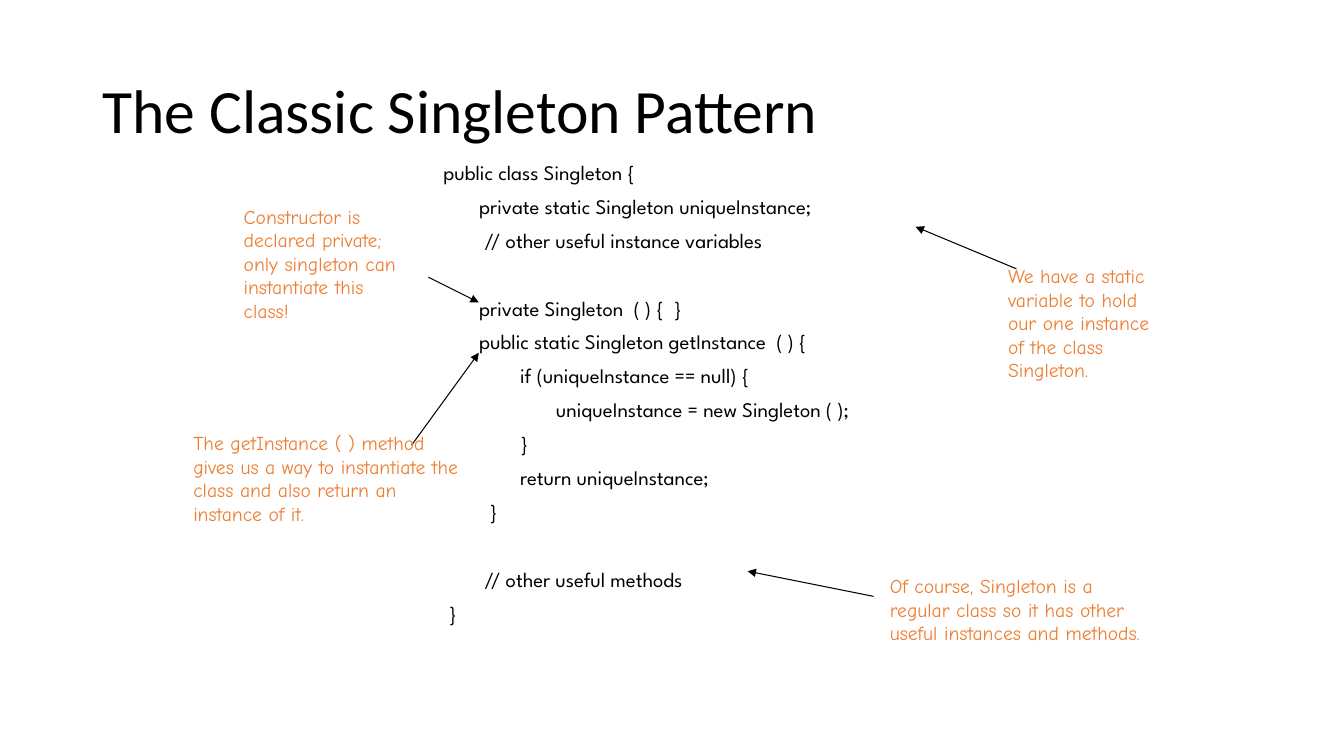
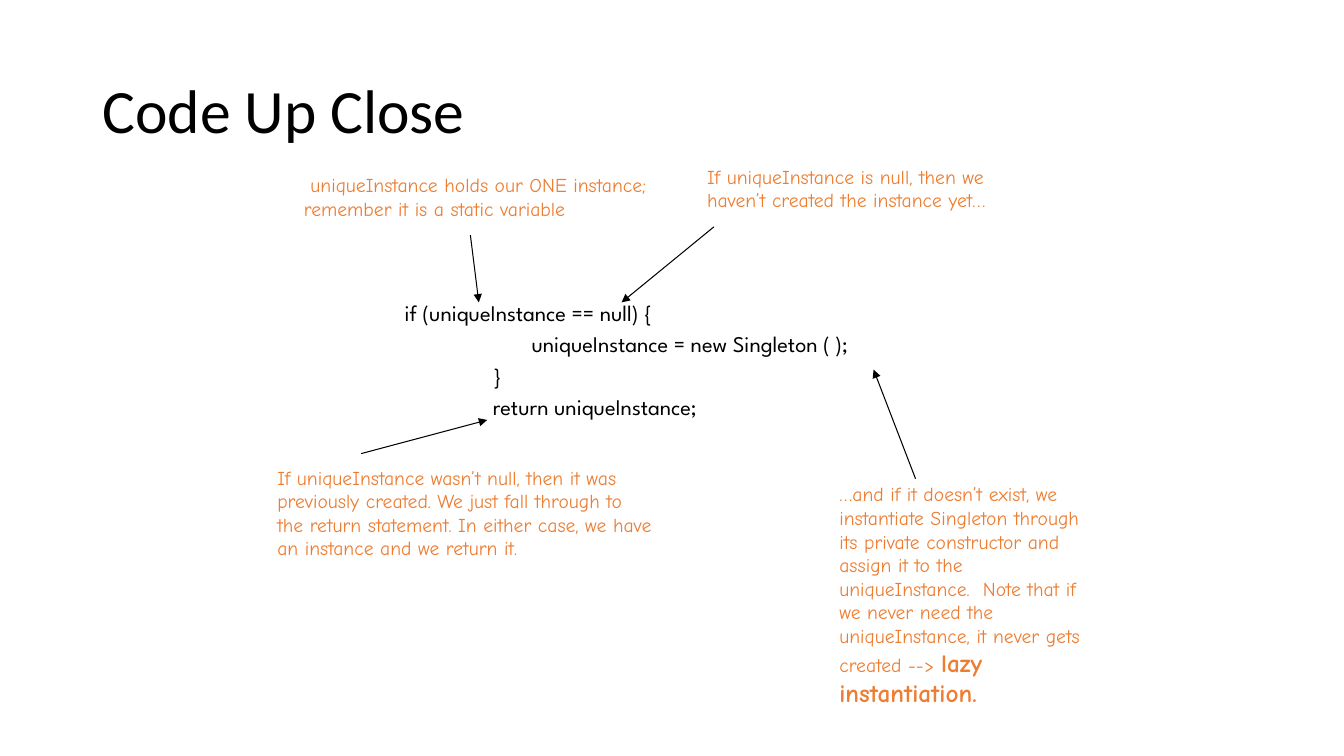
from dataclasses import dataclass

from lxml import etree
from pptx import Presentation
from pptx.dml.color import RGBColor
from pptx.enum.shapes import MSO_CONNECTOR
from pptx.enum.text import MSO_ANCHOR, MSO_AUTO_SIZE, PP_ALIGN
from pptx.oxml.ns import qn
from pptx.slide import Slide
from pptx.text.text import TextFrame
from pptx.util import Pt

STRAIGHT = MSO_CONNECTOR.STRAIGHT
LEFT = PP_ALIGN.LEFT
TOP = MSO_ANCHOR.TOP
MIDDLE = MSO_ANCHOR.MIDDLE
NO_FIT = MSO_AUTO_SIZE.NONE
TITLE_ONLY = 5
COLORS = {"ink": "000000", "note": "ED7D31"}
FONTS = {"title": "Calibri", "code": "League Spartan", "note": "Comic Neue"}
LINE_RATIO = 1.2


@dataclass(frozen=True)
class Box:
    left: float
    top: float
    width: float
    height: float


@dataclass(frozen=True)
class Code:
    box: Box
    text: str
    size: float
    lead: float
    before: float


@dataclass(frozen=True)
class Note:
    box: Box
    text: str
    start: tuple[float, float]
    end: tuple[float, float]
    strong: str = ""


@dataclass(frozen=True)
class Page:
    title: str
    code: Code
    notes: tuple[Note, ...]


TITLE_BOX = Box(66, 29, 828, 104)

CLASS_CODE = """\
 public class Singleton {
        private static Singleton uniqueInstance;
         // other useful instance variables

        private Singleton  ( ) {  }
        public static Singleton getInstance  ( ) {
                if (uniqueInstance == null) {
                       uniqueInstance = new Singleton ( );
                }
                return uniqueInstance;
          }

         // other useful methods
  }"""

CHECK_CODE = """\
if (uniqueInstance == null) {
                       uniqueInstance = new Singleton ( );
                }
                return uniqueInstance;"""

PAGES = (
    Page(
        "The Classic Singleton Pattern",
        Code(Box(306, 114, 408, 366), CLASS_CODE, 14.8, 0.8, 10),
        (
            Note(Box(713, 185, 127.5, 92),
                 "We have a static variable to hold our one instance "
                 "of the class Singleton.", (726, 192), (654, 162)),
            Note(Box(167, 142.5, 133, 92),
                 "Constructor is declared private; only singleton can "
                 "instantiate this class!", (306, 198), (342, 216)),
            Note(Box(131, 304.5, 211, 75),
                 "The getInstance ( ) method gives us a way to instantiate "
                 "the class and also return an instance of it.",
                 (294, 318), (342, 252)),
            Note(Box(628.5, 406.5, 199.5, 75),
                 "Of course, Singleton is a regular class so it has other "
                 "useful instances and methods.", (624, 426), (534, 408)),
        ),
    ),
    Page(
        "Code Up Close",
        Code(Box(282, 210, 378, 96), CHECK_CODE, 16, 1, 3.2),
        (
            Note(Box(210, 120, 276, 58),
                 " uniqueInstance holds our ONE instance; remember it is "
                 "a static variable", (336, 168), (342, 216)),
            Note(Box(498, 114, 247, 41),
                 "If uniqueInstance is null, then we haven’t created "
                 "the instance yet…", (510, 162), (444, 216)),
            Note(Box(592.5, 341, 199.5, 170),
                 "…and if it doesn’t exist, we instantiate Singleton through "
                 "its private constructor and assign it to the "
                 "uniqueInstance.  Note that if we never need the "
                 "uniqueInstance, it never gets created --> ",
                 (654, 342), (624, 264), "lazy instantiation."),
            Note(Box(191, 329, 283, 75),
                 "If uniqueInstance wasn’t null, then it was previously "
                 "created. We just fall through to the return statement. "
                 "In either case, we have an instance and we return it.",
                 (258, 324), (348, 300)),
        ),
    ),
)


def write(frame: TextFrame, text: str, *, font: str, size: float,
          color: str = "ink", lead: float = 1, before: float = 0,
          anchor: MSO_ANCHOR = TOP, strong: str = "") -> None:
    frame.word_wrap = True
    frame.auto_size = NO_FIT
    frame.vertical_anchor = anchor
    pitch = size * LINE_RATIO * lead + before
    para, gap = None, 0
    for line in text.split("\n"):
        if not line:
            gap += pitch
            continue
        first = para is None
        para = frame.paragraphs[0] if first else frame.add_paragraph()
        para.alignment = LEFT
        para.line_spacing = lead
        para.space_before = Pt(0 if first else before + gap)
        gap = 0
        for part, bold, scale in ((line, False, size), (strong, True, 18)):
            if part:
                run = para.add_run()
                run.text = part
                run.font.name = FONTS[font]
                run.font.size = Pt(scale)
                run.font.bold = bold
                run.font.color.rgb = RGBColor.from_string(COLORS[color])


def add_box(slide: Slide, box: Box) -> TextFrame:
    return slide.shapes.add_textbox(
        Pt(box.left), Pt(box.top), Pt(box.width), Pt(box.height)).text_frame


def add_title(slide: Slide, text: str) -> None:
    title = slide.shapes.title
    title.left, title.top = Pt(TITLE_BOX.left), Pt(TITLE_BOX.top)
    title.width, title.height = Pt(TITLE_BOX.width), Pt(TITLE_BOX.height)
    write(title.text_frame, text, font="title", size=44, lead=0.9,
          anchor=MIDDLE)


def add_arrow(slide: Slide, start: tuple[float, float],
              end: tuple[float, float]) -> None:
    arrow = slide.shapes.add_connector(
        STRAIGHT, *(Pt(value) for value in start + end))
    arrow.line.color.rgb = RGBColor.from_string(COLORS["ink"])
    arrow.line.width = Pt(0.75)
    props = arrow._element.spPr
    etree.SubElement(props.find(qn("a:ln")), qn("a:tailEnd"), type="triangle")
    etree.SubElement(props, qn("a:effectLst"))


def add_note(slide: Slide, note: Note) -> None:
    add_arrow(slide, note.start, note.end)
    write(add_box(slide, note.box), note.text, font="note", size=14,
          color="note", strong=note.strong)


def main() -> None:
    deck = Presentation()
    deck.slide_width, deck.slide_height = Pt(960), Pt(540)
    for page in PAGES:
        slide = deck.slides.add_slide(deck.slide_layouts[TITLE_ONLY])
        add_title(slide, page.title)
        code = page.code
        write(add_box(slide, code.box), code.text, font="code",
              size=code.size, lead=code.lead, before=code.before)
        for note in page.notes:
            add_note(slide, note)
    deck.save("out.pptx")


if __name__ == "__main__":
    main()
